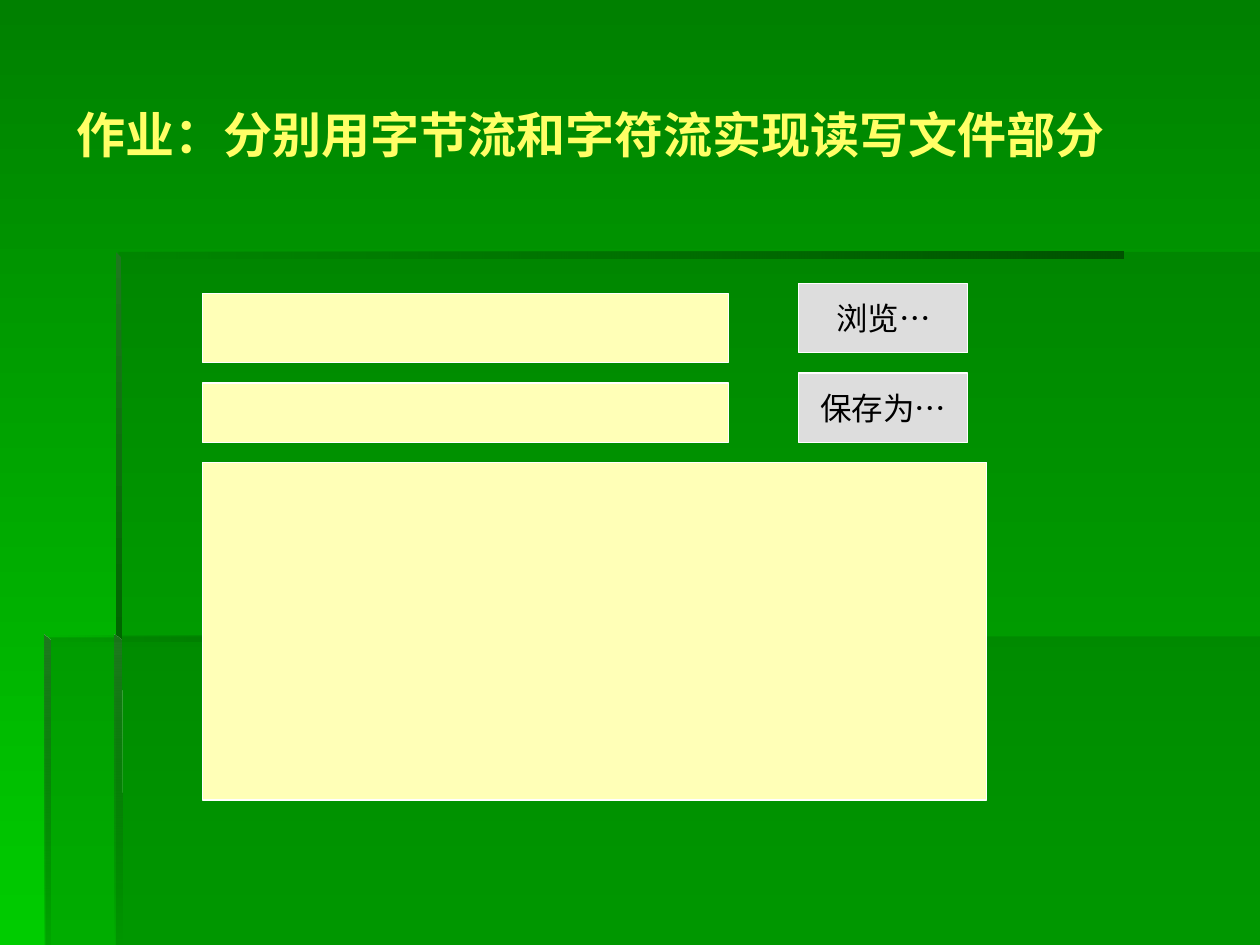
from lxml import etree
from pptx import Presentation
from pptx import util as u
from pptx.dml.color import RGBColor
from pptx.enum import shapes, text
from pptx.oxml.ns import qn

COLORS = {
    "bg_top": "008000", "bg_bottom": "00CC00", "panel": "006600",
    "shade": "005300", "light": "1E781E", "title": "FFFF66",
    "field": "FFFFB7", "button": "DDDDDD", "edge": "FFFFFF", "ink": "000000",
}
COLUMNS, ROWS = 100, 75


class FormSlide:
    """Style and drawing methods on a grid of 100 columns by 75 rows."""

    def __init__(self, deck):
        self.cell_w = deck.slide_width / COLUMNS
        self.cell_h = deck.slide_height / ROWS
        self.slide = deck.slides.add_slide(deck.slide_layouts[6])

    def x(self, columns):
        return round(columns * self.cell_w)

    def y(self, rows):
        return round(rows * self.cell_h)

    def box(self, left, top, width, height):
        return self.x(left), self.y(top), self.x(width), self.y(height)

    @staticmethod
    def color(name):
        return RGBColor.from_string(COLORS[name])

    @staticmethod
    def set_opacity(fill_element, percent):
        color = fill_element.find(".//" + qn("a:srgbClr"))
        etree.SubElement(color, qn("a:alpha"), val=str(percent * 1000))

    def gradient(self, fill, start, end, clockwise):
        fill.gradient()
        fill.gradient_angle = 360 - clockwise
        for stop, name, position in zip(fill.gradient_stops, (start, end), (0, 1)):
            stop.color.rgb = self.color(name)
            stop.position = position

    def background(self, start, end):
        self.gradient(self.slide.background.fill, start, end, 90)

    def outline(self, points):
        corners = [(self.x(column), self.y(row)) for column, row in points]
        builder = self.slide.shapes.build_freeform(*corners[0], scale=1)
        builder.add_line_segments(corners[1:], close=True)
        shape = builder.convert_to_shape()
        shape.shadow.inherit = False
        shape.line.fill.background()
        return shape

    def panel(self, points):
        shape = self.outline(points)
        shape.fill.solid()
        shape.fill.fore_color.rgb = self.color("panel")
        self.set_opacity(shape._element.spPr.find(qn("a:solidFill")), 30)

    def bevel(self, points, start, clockwise, end_opacity):
        shape = self.outline(points)
        self.gradient(shape.fill, start, "panel", clockwise)
        if end_opacity < 100:
            last_stop = shape._element.spPr.findall(".//" + qn("a:gs"))[-1]
            self.set_opacity(last_stop, end_opacity)

    def label(self, frame, words, size, font, color, bold=False):
        frame.vertical_anchor = text.MSO_ANCHOR.MIDDLE
        run = frame.paragraphs[0].add_run()
        run.text = words
        run.font.size = u.Pt(size)
        run.font.name = font
        run.font.bold = bold
        run.font.color.rgb = self.color(color)

    def title(self, words, *place):
        frame = self.slide.shapes.add_textbox(*self.box(*place)).text_frame
        frame.word_wrap = True
        self.label(frame, words, 28, "Montserrat", "title", bold=True)

    def field(self, *place, fill="field"):
        shape = self.slide.shapes.add_shape(
            shapes.MSO_SHAPE.RECTANGLE, *self.box(*place))
        shape.shadow.inherit = False
        shape.fill.solid()
        shape.fill.fore_color.rgb = self.color(fill)
        shape.line.color.rgb = self.color("edge")
        shape.line.width = u.Pt(0.75)
        return shape

    def button(self, words, *place):
        frame = self.field(*place, fill="button").text_frame
        frame.word_wrap = False
        frame.paragraphs[0].alignment = text.PP_ALIGN.CENTER
        self.label(frame, words, 18, "Arial", "ink")


def main():
    deck = Presentation()
    deck.slide_width, deck.slide_height = u.Inches(10), u.Inches(7.5)
    form = FormSlide(deck)
    form.background("bg_top", "bg_bottom")

    # Overlapping translucent panels
    form.panel([(9.2, 50.5), (9.2, ROWS), (COLUMNS, ROWS), (COLUMNS, 50.5)])
    form.panel([(9.4, 50.6), (3.6, 50.6), (3.6, ROWS), (COLUMNS, ROWS),
                (COLUMNS, 20), (9.4, 20)])

    # Bevelled panel edges
    form.bevel([(9.2, 20), (9.2, 20.5), (89.2, 20.5), (89.2, 20)], "shade", 180, 0)
    form.bevel([(9.2, 20), (9.2, 51), (9.7, 51), (9.6, 20.4)], "light", 90, 100)
    form.bevel([(9.1, ROWS), (9.7, ROWS), (9.6, 50.8), (9.1, 50.4)], "light", 90, 0)
    form.bevel([(3.5, 50.4), (3.5, 50.9), (53.5, 50.9), (53.5, 50.4)], "shade", 180, 0)
    form.bevel([(3.5, 50.4), (3.5, ROWS), (4, ROWS), (4, 50.9)], "light", 90, 10)

    # Title
    form.title("作业：分别用字节流和字符流实现读写文件部分", 5.1, 2.8, 91.7, 15.7)

    # Path fields with their buttons
    file_rows = [("浏览…", 23.3, 5.5, 22.5), ("保存为…", 30.4, 4.7, 29.6)]
    for words, field_top, field_height, button_top in file_rows:
        form.field(16.1, field_top, 41.7, field_height)
        form.button(words, 63.4, button_top, 13.4, 5.5)

    # File content area
    form.field(16.1, 36.7, 62.2, 26.8)

    deck.save("out.pptx")


if __name__ == "__main__":
    main()
